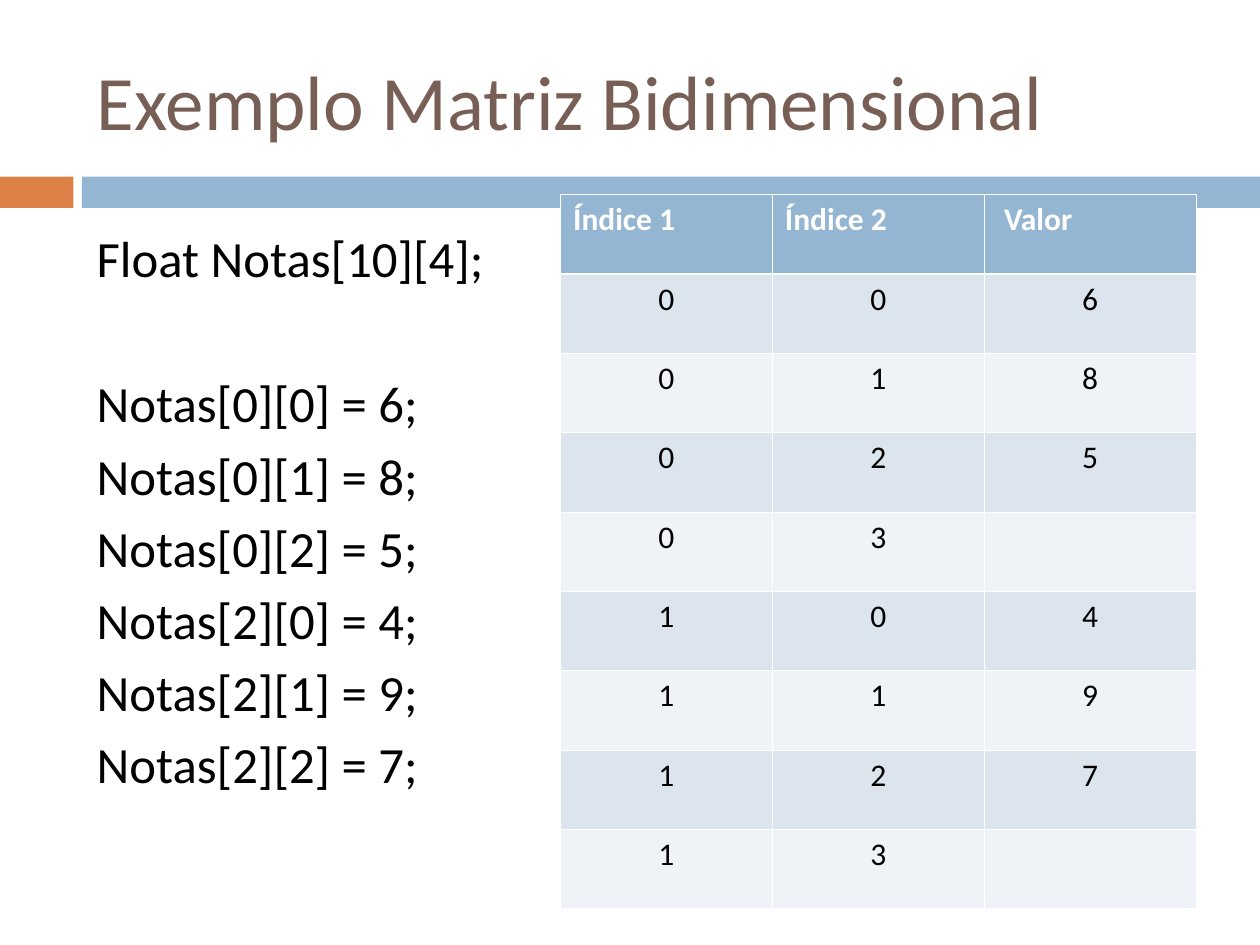
from lxml import etree
from pptx import Presentation
from pptx.dml.color import RGBColor
from pptx.enum.shapes import MSO_SHAPE
from pptx.enum.text import MSO_ANCHOR, PP_ALIGN
from pptx.oxml.ns import qn
from pptx.util import Cm, Pt

RECTANGLE = MSO_SHAPE.RECTANGLE
MIDDLE = MSO_ANCHOR.MIDDLE
LEFT, CENTER = PP_ALIGN.LEFT, PP_ALIGN.CENTER

FONT = "Calibri"
COLORS = {
    "title": "775F55",
    "text": "000000",
    "white": "FFFFFF",
    "orange": "DD8047",
    "blue": "94B6D2",
    "odd_row": "DCE5EE",
    "even_row": "EFF3F7",
}

DECLARATION = "Float Notas[10][4];"
GRADES = {(0, 0): 6, (0, 1): 8, (0, 2): 5, (2, 0): 4, (2, 1): 9, (2, 2): 7}
HEADERS = ["Índice 1", "Índice 2", "Valor"]
TABLE_VALUES = [[6, 8, 5, ""], [4, 9, 7, ""]]

CODE_SIZE = 29
CODE_GAP = 6.4
DECLARATION_GAP = 48.2
THIN, THICK = 0.45, 1.47


def color(name):
    return RGBColor.from_string(COLORS[name])


def format_paragraph(paragraph, size, color_name, align=LEFT, bold=False):
    paragraph.alignment = align
    for run in paragraph.runs:
        font = run.font
        font.name, font.size, font.bold = FONT, Pt(size), bold
        font.color.rgb = color(color_name)


def add_bar(slide, left, width, color_name):
    bar = slide.shapes.add_shape(RECTANGLE, Cm(left), Cm(3.56), Cm(width), Cm(0.63))
    bar.shadow.inherit = False
    bar.fill.solid()
    bar.fill.fore_color.rgb = color(color_name)
    bar.line.fill.background()


def set_title(slide, text):
    title = slide.shapes.title
    title.left, title.top = Cm(1.7), Cm(0.64)
    title.width, title.height = Cm(22.66), Cm(2.74)
    frame = title.text_frame
    frame.text = text
    frame.vertical_anchor = MIDDLE
    format_paragraph(frame.paragraphs[0], 44, "title")


def add_code(slide):
    box = slide.shapes.add_textbox(Cm(1.7), Cm(4.45), Cm(22.66), Cm(12.5))
    frame = box.text_frame
    frame.word_wrap = True
    assignments = [f"Notas[{i}][{j}] = {grade};" for (i, j), grade in GRADES.items()]
    frame.text = "\n".join([DECLARATION, *assignments])
    for index, paragraph in enumerate(frame.paragraphs):
        format_paragraph(paragraph, CODE_SIZE, "text")
        if index:
            paragraph.space_before = Pt(DECLARATION_GAP if index == 1 else CODE_GAP)


def set_borders(cell, top, bottom):
    properties = cell._tc.get_or_add_tcPr()
    for side, width in (("L", THIN), ("R", THIN), ("T", top), ("B", bottom)):
        line = etree.SubElement(properties, qn(f"a:ln{side}"), w=str(Pt(width)))
        fill = etree.SubElement(line, qn("a:solidFill"))
        etree.SubElement(fill, qn("a:srgbClr"), val=COLORS["white"])


def format_cell(cell, row):
    is_header = row == 0
    set_borders(cell, THICK if row == 1 else THIN, THICK if is_header else THIN)
    cell.fill.solid()
    fill_name = "blue" if is_header else ("odd_row" if row % 2 else "even_row")
    cell.fill.fore_color.rgb = color(fill_name)
    paragraph = cell.text_frame.paragraphs[0]
    if is_header:
        format_paragraph(paragraph, 18, "white", bold=True)
    else:
        format_paragraph(paragraph, 18, "text", CENTER)


def add_grades_table(slide):
    rows = [HEADERS]
    for i, values in enumerate(TABLE_VALUES):
        rows += [[i, j, value] for j, value in enumerate(values)]
    table = slide.shapes.add_table(
        len(rows), len(HEADERS), Cm(11.3), Cm(3.92), Cm(12.81), Cm(14.4)
    ).table
    for r, values in enumerate(rows):
        for c, value in enumerate(values):
            cell = table.cell(r, c)
            cell.text = str(value)
            format_cell(cell, r)
    table.cell(0, 2).margin_left = Cm(0.4)


def main():
    presentation = Presentation()
    presentation.slide_width, presentation.slide_height = Cm(25.4), Cm(19.05)
    slide = presentation.slides.add_slide(presentation.slide_layouts[5])
    add_bar(slide, 0, 1.48, "orange")
    add_bar(slide, 1.65, 23.75, "blue")
    set_title(slide, "Exemplo Matriz Bidimensional")
    add_code(slide)
    add_grades_table(slide)
    presentation.save("out.pptx")


if __name__ == "__main__":
    main()
